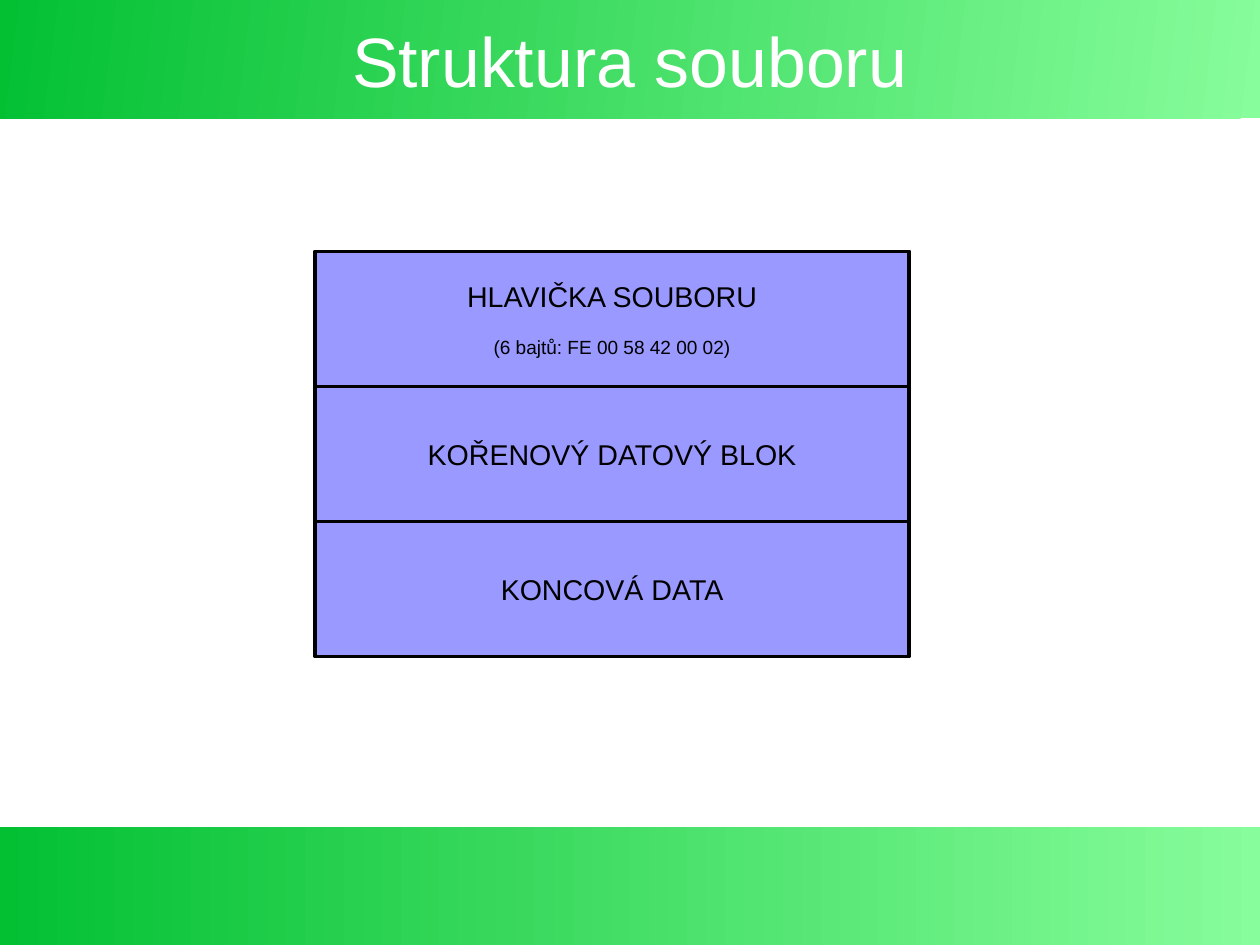
from pptx import Presentation
from pptx.dml.color import RGBColor
from pptx.enum.shapes import MSO_SHAPE
from pptx.enum.text import MSO_ANCHOR, MSO_AUTO_SIZE, PP_ALIGN
from pptx.util import Cm, Inches, Pt

RECTANGLE = MSO_SHAPE.RECTANGLE
MIDDLE = MSO_ANCHOR.MIDDLE
CENTER = PP_ALIGN.CENTER
NO_AUTOFIT = MSO_AUTO_SIZE.NONE

COLORS = {
    "light green": "87FD9B",
    "dark green": "03C033",
    "block": "9999FF",
    "ink": "000000",
    "title": "FFFFFF",
}
FONT = "Arial"


def color(name):
    return RGBColor.from_string(COLORS[name])


def format_paragraph(paragraph, text, size, color_name):
    paragraph.text = text
    paragraph.alignment = CENTER
    paragraph.font.name = FONT
    paragraph.font.size = Pt(size)
    paragraph.font.color.rgb = color(color_name)


presentation = Presentation()
presentation.slide_width = Cm(28)
presentation.slide_height = Cm(21)
width, height = presentation.slide_width, presentation.slide_height
slide = presentation.slides.add_slide(presentation.slide_layouts[5])
shapes = slide.shapes

# Green bands along the top and bottom edges
band_height = height // 8
for top, angle in ((0, 173), (height - band_height, 180)):
    band = shapes.add_shape(RECTANGLE, 0, top, width, band_height)
    band.shadow.inherit = False
    band.line.fill.background()
    band.fill.gradient()
    band.fill.gradient_angle = angle
    for stop, name, position in zip(
        band.fill.gradient_stops, ("light green", "dark green"), (0, 1)
    ):
        stop.color.rgb = color(name)
        stop.position = position

# Title, in front of the top band
title = shapes.title
shapes._spTree.append(title._element)
title.width, title.height = int(width * 0.9), Inches(0.7)
title.left = (width - title.width) // 2
title.top = (band_height - title.height) // 2
frame = title.text_frame
frame.auto_size = NO_AUTOFIT
frame.vertical_anchor = MIDDLE
frame.margin_left = frame.margin_right = frame.margin_top = frame.margin_bottom = 0
format_paragraph(frame.paragraphs[0], "Struktura souboru", 44, "title")

# Stacked blocks of the file
BLOCKS = (
    ("HLAVIČKA SOUBORU", "(6 bajtů: FE 00 58 42 00 02)"),
    ("KOŘENOVÝ DATOVÝ BLOK", None),
    ("KONCOVÁ DATA", None),
)
stack_left, stack_top = width // 4, Inches(2.2)
block_width, block_height = Inches(5.2), height // 7

for row, (name, detail) in enumerate(BLOCKS):
    block = shapes.add_shape(
        RECTANGLE, stack_left, stack_top + row * block_height, block_width, block_height
    )
    block.shadow.inherit = False
    block.fill.solid()
    block.fill.fore_color.rgb = color("block")
    block.line.color.rgb = color("ink")
    block.line.width = Pt(2.3)
    frame = block.text_frame
    frame.word_wrap = False
    frame.vertical_anchor = MIDDLE
    frame.margin_left = frame.margin_right = Inches(0.11)
    frame.margin_top = frame.margin_bottom = Inches(0.06)
    format_paragraph(frame.paragraphs[0], name, 18, "ink")
    if detail:
        paragraph = frame.add_paragraph()
        format_paragraph(paragraph, detail, 12, "ink")
        paragraph.space_before = Pt(14)

presentation.save("out.pptx")
